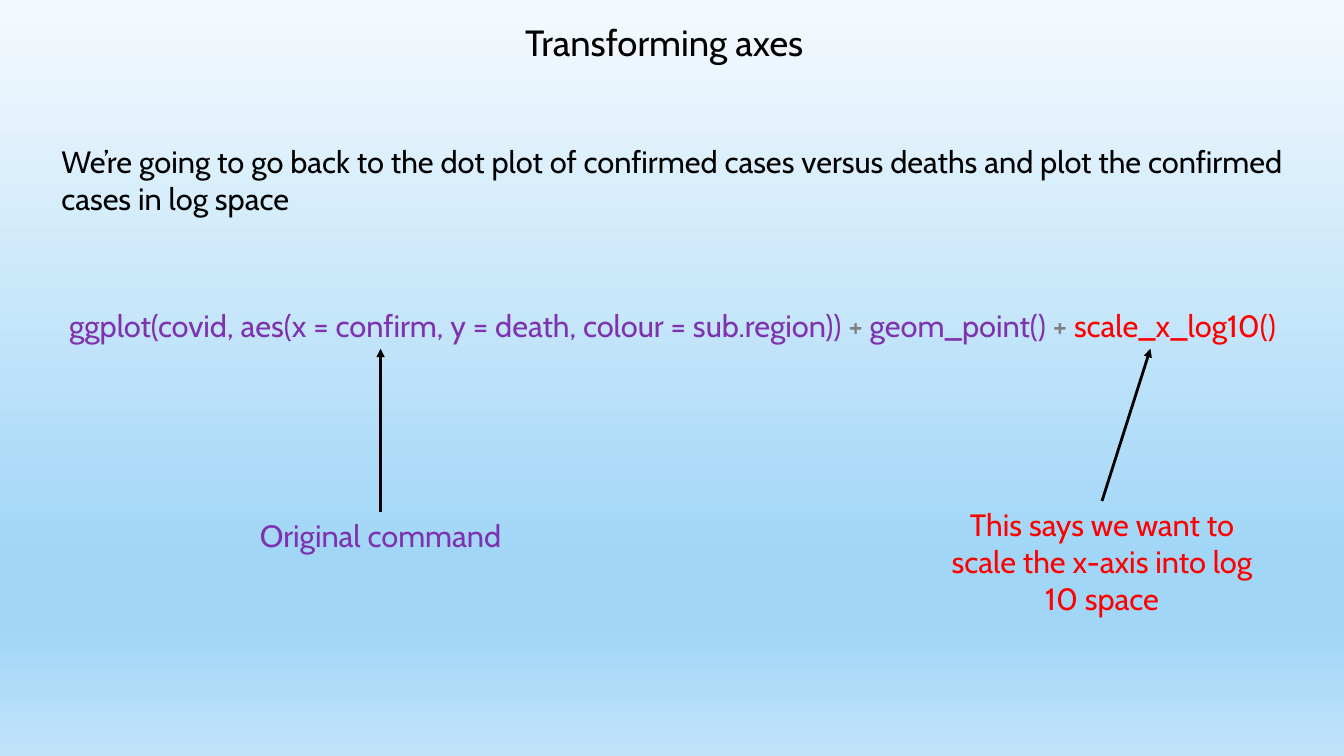
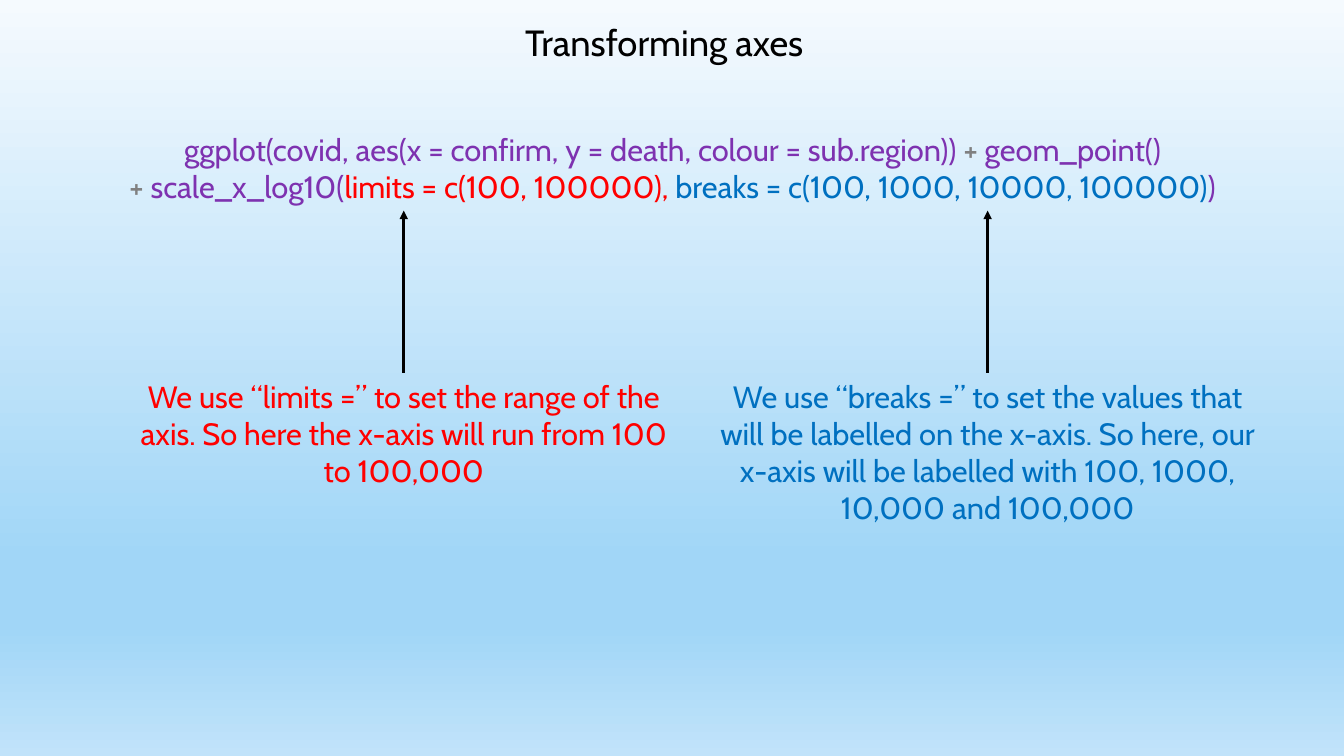
from lxml.etree import SubElement
from pptx import Presentation
from pptx.dml.color import RGBColor
from pptx.enum.shapes import MSO_CONNECTOR
from pptx.enum.text import MSO_AUTO_SIZE, PP_ALIGN
from pptx.oxml.ns import qn
from pptx.util import Inches, Pt

FONT = "Cabin"
BLACK, GREY = "000000", "808080"
PURPLE, RED, BLUE = "7E32B0", "FF0000", "0070C0"
BACKGROUND_STOPS = [(0, "F5FAFE"), (74, "A1D6F7"), (83, "A1D6F7"), (100, "C1E3FA")]

TITLE_BOX = (1.18, 0.15, 10.82, 0.54)
CONTENT_LEFT, CONTENT_WIDTH = 0.51, 12.32
NOTE_WIDTH = 5.65

PLOT_CALL = [
    ("ggplot(covid, aes(x = confirm, y = death, colour = sub.region)) ", PURPLE),
    ("+ ", GREY),
]


def color(value):
    return RGBColor.from_string(value)


def set_background(master):
    """Give every slide the same vertical gradient."""
    fill = master.background.fill
    fill.gradient()
    fill.gradient_angle = 270
    stop_list = master.element.xpath(".//p:bg//a:gsLst")[0]
    for stop in list(stop_list):
        stop_list.remove(stop)
    for position, value in BACKGROUND_STOPS:
        stop = SubElement(stop_list, qn("a:gs"), pos=str(position * 1000))
        SubElement(stop, qn("a:srgbClr"), val=value)


def add_text(page, box, lines, size=22, align=PP_ALIGN.CENTER):
    """Place lines of (text, colour) spans in a box of left, top, width, height."""
    frame = page.shapes.add_textbox(*map(Inches, box)).text_frame
    frame.word_wrap = True
    frame.auto_size = MSO_AUTO_SIZE.SHAPE_TO_FIT_TEXT
    for index, line in enumerate(lines):
        para = frame.add_paragraph() if index else frame.paragraphs[0]
        para.alignment = align
        for text, value in line:
            span = para.add_run()
            span.text = text
            span.font.name = FONT
            span.font.size = Pt(size)
            span.font.color.rgb = color(value)


def add_arrow(page, start, end):
    arrow = page.shapes.add_connector(
        MSO_CONNECTOR.STRAIGHT, *map(Inches, (*start, *end)))
    arrow.line.color.rgb = color(BLACK)
    arrow.line.width = Pt(2)
    SubElement(arrow.line._get_or_add_ln(), qn("a:tailEnd"), type="triangle")
    SubElement(arrow.element.spPr, qn("a:effectLst"))


def add_note(page, box, text, value, tip_y, tip_shift=0):
    """Place an explanation with an arrow from its top centre up to the code."""
    left, top, width, _ = box
    center = left + width / 2
    add_arrow(page, (center, top), (center + tip_shift, tip_y))
    add_text(page, box, [[(text, value)]])


def add_page(deck):
    page = deck.slides.add_slide(deck.slide_layouts[6])
    add_text(page, TITLE_BOX, [[("Transforming axes", BLACK)]], size=26)
    return page


def add_log_scale_page(deck):
    page = add_page(deck)
    # Introduction
    intro = ("We’re going to go back to the dot plot of confirmed cases versus "
             "deaths and plot the confirmed cases in log space")
    add_text(page, (CONTENT_LEFT, 1.37, CONTENT_WIDTH, 0.84),
             [[(intro, BLACK)]], align=PP_ALIGN.LEFT)
    # Command
    add_text(page, (CONTENT_LEFT, 2.99, CONTENT_WIDTH, 0.47), [
        PLOT_CALL + [("geom_point() ", PURPLE), ("+ ", GREY),
                     ("scale_x_log10()", RED)],
    ])
    # Explanations
    add_note(page, (0.95, 5.08, NOTE_WIDTH, 0.47), "Original command", PURPLE, 3.46)
    add_note(page, (9.19, 4.97, 3.48, 1.21),
             "This says we want to scale the x-axis into log 10 space",
             RED, 3.46, tip_shift=0.48)


def add_limits_page(deck):
    page = add_page(deck)
    # Command
    add_text(page, (CONTENT_LEFT, 1.25, CONTENT_WIDTH, 0.84), [
        PLOT_CALL + [("geom_point()", PURPLE)],
        [("+", GREY), (" scale_x_log10(", PURPLE),
         ("limits = c(100, 100000), ", RED),
         ("breaks = c(100, 1000, 10000, 100000)", BLUE), (")", PURPLE)],
    ])
    # Explanations
    add_note(page, (1.18, 3.7, NOTE_WIDTH, 1.21),
             "We use “limits =” to set the range of the axis. So here the x-axis "
             "will run from 100 to 100,000", RED, 2.09)
    add_note(page, (6.97, 3.7, NOTE_WIDTH, 1.58),
             "We use “breaks =” to set the values that will be labelled on the "
             "x-axis. So here, our x-axis will be labelled with 100, 1000, 10,000 "
             "and 100,000", BLUE, 2.09)


def main():
    deck = Presentation()
    deck.slide_width, deck.slide_height = Inches(13.33), Inches(7.5)
    set_background(deck.slide_master)
    add_log_scale_page(deck)
    add_limits_page(deck)
    deck.save("out.pptx")


if __name__ == "__main__":
    main()
